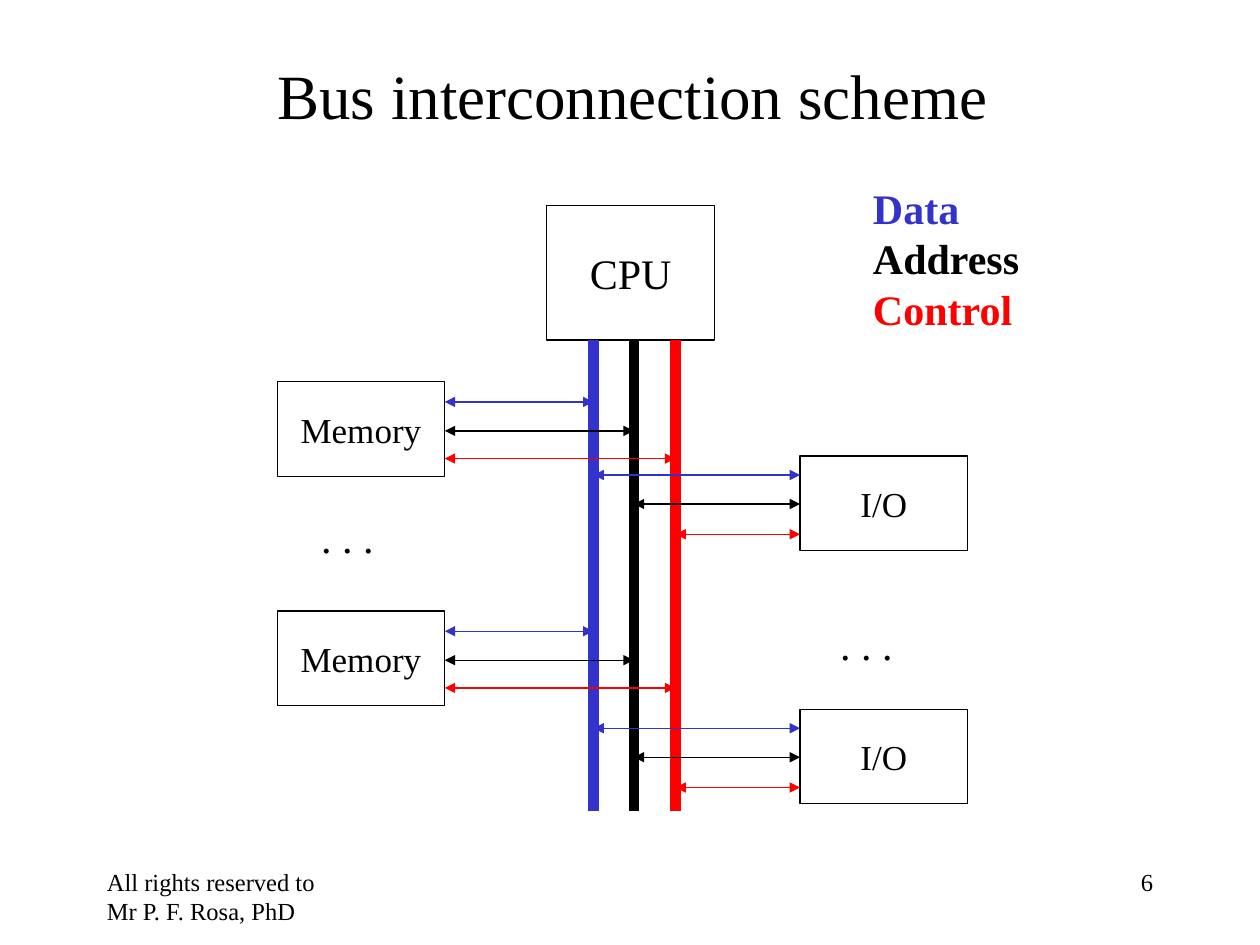
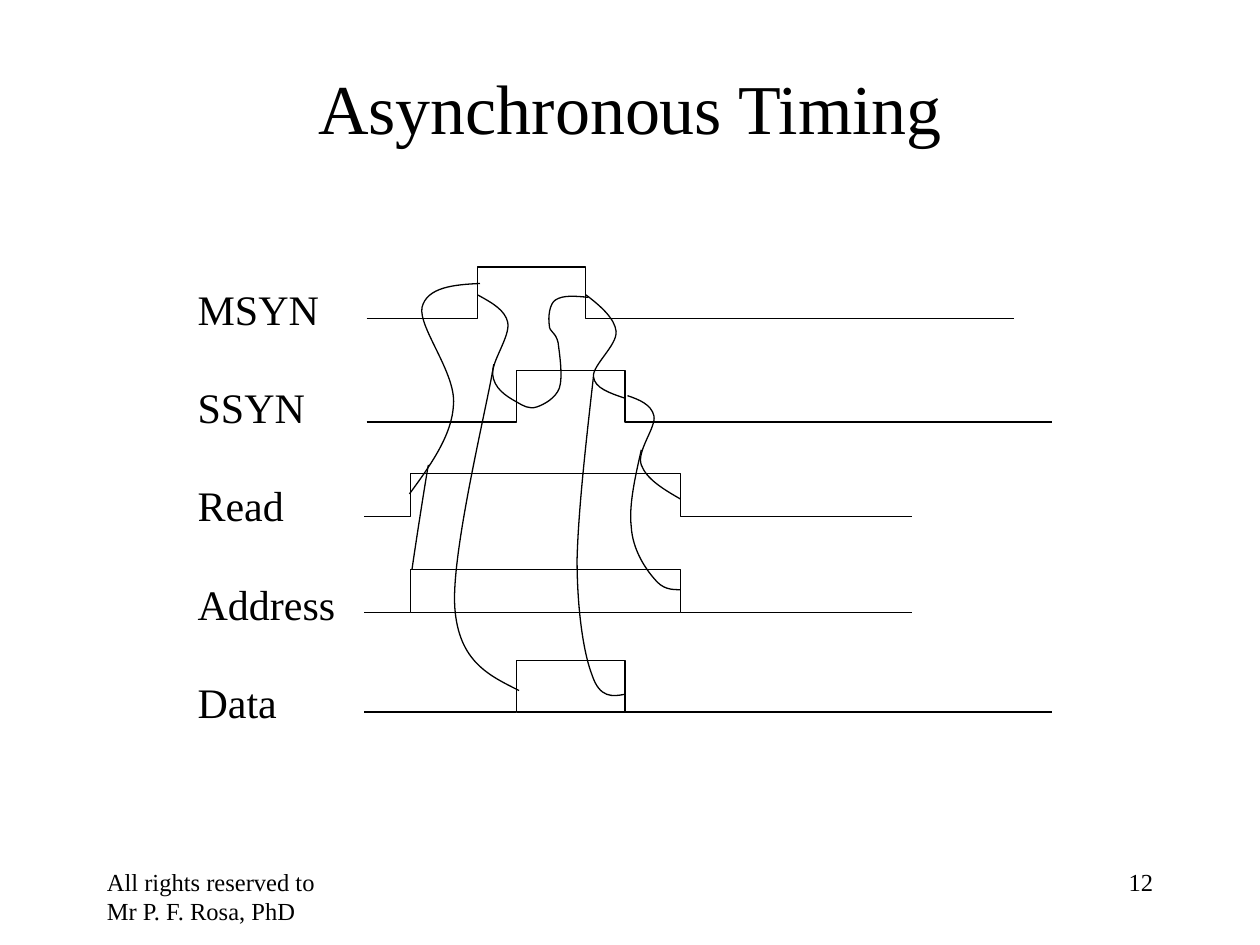
from pptx import Presentation
from pptx.dml.color import RGBColor
from pptx.enum.shapes import MSO_CONNECTOR, MSO_SHAPE
from pptx.enum.text import MSO_ANCHOR, MSO_AUTO_SIZE, PP_ALIGN
from pptx.oxml.ns import qn
from pptx.util import Inches, Pt
from lxml import etree

BLACK = RGBColor(0x00, 0x00, 0x00)
BLUE = RGBColor(0x33, 0x33, 0xCC)
RED = RGBColor(0xFF, 0x00, 0x00)
FONT = "Times New Roman"
LEFT, CENTER, RIGHT = PP_ALIGN.LEFT, PP_ALIGN.CENTER, PP_ALIGN.RIGHT
TOP, MIDDLE = MSO_ANCHOR.TOP, MSO_ANCHOR.MIDDLE
RECTANGLE, STRAIGHT = MSO_SHAPE.RECTANGLE, MSO_CONNECTOR.STRAIGHT
NO_AUTOFIT = MSO_AUTO_SIZE.NONE
THIN, THICK = 0.75, 6
TITLE_ONLY = 5

# Bus lines: name, colour, offset from the left of the scheme
BUSES = [("Data", BLUE, 2.51), ("Address", BLACK, 2.83), ("Control", RED, 3.16)]

# Signals: name, start, rise, fall, end, base line, pulse height, closed pulse
SIGNALS = [
    ("MSYN", 0.02, 0.9, 1.76, 5.16, 0.41, 0.41, False),
    ("SSYN", 0.02, 1.21, 2.07, 5.46, 1.23, 0.41, False),
    ("Read", 0, 0.37, 2.51, 4.35, 1.98, 0.34, False),
    ("Address", 0, 0.37, 2.51, 4.35, 2.74, 0.34, True),
    ("Data", 0, 1.21, 2.07, 5.46, 3.53, 0.41, True),
]

# Cause and effect curves: start point, then three Bezier points per segment
CURVES = [
    # MSYN rise to SSYN rise
    [(0.9, 0.22), (1.01, 0.28), (1.12, 0.34), (1.14, 0.44), (1.16, 0.55),
     (1.01, 0.75), (1.02, 0.85), (1.03, 0.96), (1.12, 1.02), (1.21, 1.07)],
    # MSYN rise to data start
    [(1.03, 0.77), (0.98, 1.09), (0.69, 2.26), (0.72, 2.7), (0.75, 3.13),
     (0.99, 3.24), (1.23, 3.36)],
    # SSYN rise to MSYN fall
    [(1.21, 1.07), (1.26, 1.1), (1.31, 1.13), (1.37, 1.11), (1.43, 1.09),
     (1.52, 1.04), (1.55, 0.96), (1.58, 0.87), (1.55, 0.68), (1.54, 0.6),
     (1.52, 0.51), (1.47, 0.52), (1.47, 0.46), (1.46, 0.4), (1.47, 0.29),
     (1.52, 0.26), (1.58, 0.22), (1.68, 0.23), (1.78, 0.24)],
    # MSYN fall to SSYN fall
    [(1.76, 0.22), (1.88, 0.31), (1.99, 0.41), (2, 0.51), (2.01, 0.62),
     (1.81, 0.78), (1.82, 0.87), (1.83, 0.96), (1.95, 1), (2.07, 1.04)],
    # SSYN fall to read fall
    [(2.09, 1.02), (2.18, 1.05), (2.28, 1.09), (2.3, 1.18), (2.32, 1.27),
     (2.16, 1.46), (2.2, 1.57), (2.24, 1.68), (2.37, 1.76), (2.51, 1.84)],
    # SSYN fall to address end
    [(2.2, 1.45), (2.15, 1.67), (2.1, 1.89), (2.12, 2.06), (2.13, 2.24),
     (2.23, 2.39), (2.3, 2.47), (2.37, 2.56), (2.44, 2.56), (2.51, 2.56)],
    # MSYN fall to data end
    [(1.82, 0.87), (1.76, 1.4), (1.7, 1.93), (1.69, 2.32), (1.69, 2.71),
     (1.74, 3.06), (1.81, 3.24), (1.87, 3.42), (1.97, 3.41), (2.07, 3.39)],
    # Read rise to MSYN rise
    [(0.36, 1.8), (0.53, 1.57), (0.7, 1.33), (0.71, 1.09), (0.73, 0.84),
     (0.43, 0.48), (0.46, 0.32), (0.5, 0.16), (0.71, 0.14), (0.92, 0.13)],
    # Address start to the read curve
    [(0.38, 2.4), (0.4, 2.26), (0.48, 1.74), (0.51, 1.57)],
]


def write(shape, lines, size, align=LEFT, anchor=TOP, bold=False, spacing=None):
    """Fill a shape with one paragraph for each (text, colour) pair."""
    frame = shape.text_frame
    frame.word_wrap = True
    frame.auto_size = NO_AUTOFIT
    frame.vertical_anchor = anchor
    for index, (text, color) in enumerate(lines):
        para = frame.add_paragraph() if index else frame.paragraphs[0]
        para.text = text
        para.alignment = align
        para.line_spacing = spacing
        para.font.name = FONT
        para.font.size = Pt(size)
        para.font.bold = bold
        para.font.color.rgb = color


def add_text(page, left, top, width, height, lines, size, **style):
    box = page.shapes.add_textbox(Inches(left), Inches(top), Inches(width), Inches(height))
    write(box, lines, size, **style)


def add_block(page, left, top, width, height, label, size):
    block = page.shapes.add_shape(
        RECTANGLE, Inches(left), Inches(top), Inches(width), Inches(height))
    block.shadow.inherit = False
    block.fill.background()
    block.line.color.rgb = BLACK
    block.line.width = Pt(THIN)
    write(block, [(label, BLACK)], size, align=CENTER, anchor=MIDDLE)


def add_line(page, x1, y1, x2, y2, color=BLACK, width=THIN, arrows=False):
    line = page.shapes.add_connector(STRAIGHT, Inches(x1), Inches(y1), Inches(x2), Inches(y2))
    line.line.color.rgb = color
    line.line.width = Pt(width)
    properties = line._element.spPr
    if arrows:
        outline = properties.find(qn("a:ln"))
        for end in ("a:headEnd", "a:tailEnd"):
            etree.SubElement(outline, qn(end), type="triangle")
    etree.SubElement(properties, qn("a:effectLst"))


def add_outline(page, left, top, points, curved=False):
    """Draw an open outline; curved turns each three points into a Bezier segment."""
    places = [(Inches(left + x), Inches(top + y)) for x, y in points]
    builder = page.shapes.build_freeform(*places[0])
    builder.add_line_segments(places[1:], close=False)
    outline = builder.convert_to_shape()
    outline.shadow.inherit = False
    outline.fill.background()
    outline.line.color.rgb = BLACK
    outline.line.width = Pt(THIN)
    if curved:
        steps = list(outline._element.iter(qn("a:lnTo")))
        for first in range(0, len(steps), 3):
            segment = etree.Element(qn("a:cubicBezTo"))
            steps[first].addprevious(segment)
            for step in steps[first:first + 3]:
                segment.append(step[0])
                step.getparent().remove(step)


def add_page(deck, title, size, left, top, width, height, number):
    """Start a slide with its title and the shared footer."""
    page = deck.slides.add_slide(deck.slide_layouts[TITLE_ONLY])
    heading = page.shapes.title
    heading.left, heading.top = Inches(left), Inches(top)
    heading.width, heading.height = Inches(width), Inches(height)
    write(heading, [(title, BLACK)], size, align=CENTER, anchor=MIDDLE)
    footers = [(0.75, "All rights reserved to Mr P. F. Rosa, PhD", LEFT),
               (7.17, str(number), RIGHT)]
    for footer_left, text, align in footers:
        add_text(page, footer_left, 6.83, 2.08, 0.5, [(text, BLACK)], 14, align=align)
    return page


def add_bus_scheme(page, left, top):
    width, height = 1.33, 0.75
    memory_x, io_x = left, left + 4.15
    cpu_height = 1.07
    # Processor, memory and I/O blocks
    add_block(page, left + 2.14, top, width, cpu_height, "CPU", 24)
    memories = [top + 1.4, top + 3.22]
    ports = [top + 1.99, top + 4]
    for y in memories:
        add_block(page, memory_x, y, width, height, "Memory", 20)
    for y in ports:
        add_block(page, io_x, y, width, height, "I/O", 20)
    # Vertical buses
    for _, color, x in BUSES:
        add_line(page, left + x, top + cpu_height, left + x, top + 4.81, color, THICK)
    # Arrows from each block to each bus
    sides = [(memory_x + width, memories, (0.16, 0.39, 0.61)),
             (io_x, ports, (0.15, 0.38, 0.62))]
    for edge, blocks, drops in sides:
        for y in blocks:
            for (_, color, x), drop in zip(BUSES, drops):
                add_line(page, edge, y + drop, left + x, y + drop, color, arrows=True)
    # Dots for the blocks between
    for x, y in [(0.25, 2.38), (4.37, 3.23)]:
        add_text(page, left + x, top + y, 0.62, 0.5, [(". . .", BLACK)], 24)


def add_bus_legend(page, left, top):
    add_text(page, left, top, 1.37, 1.3,
             [(name, color) for name, color, _ in BUSES], 24, bold=True)


def add_timing_diagram(page, left, top):
    # Signal names
    add_text(page, left - 1.42, top - 0.3, 1.3, 4,
             [(signal[0], BLACK) for signal in SIGNALS], 24, spacing=1.95)
    # Pulses
    for _, start, rise, fall, end, base, height, closed in SIGNALS:
        peak = base - height
        add_outline(page, left, top, [(start, base), (rise, base), (rise, peak),
                                      (fall, peak), (fall, base), (end, base)])
        if closed:
            add_line(page, left + rise, top + base, left + fall, top + base)
    # Links between edges
    for points in CURVES:
        add_outline(page, left, top, points, curved=True)


deck = Presentation()
deck.slide_width, deck.slide_height = Inches(10), Inches(7.5)

bus_page = add_page(deck, "Bus interconnection scheme", 36, 0.77, 0.32, 8.5, 0.86, 6)
add_bus_scheme(bus_page, 2.2, 1.63)
add_bus_legend(bus_page, 6.83, 1.4)

timing_page = add_page(deck, "Asynchronous Timing", 40, 0.75, 0.36, 8.5, 0.97, 12)
add_timing_diagram(timing_page, 2.89, 2.12)

deck.save("out.pptx")
